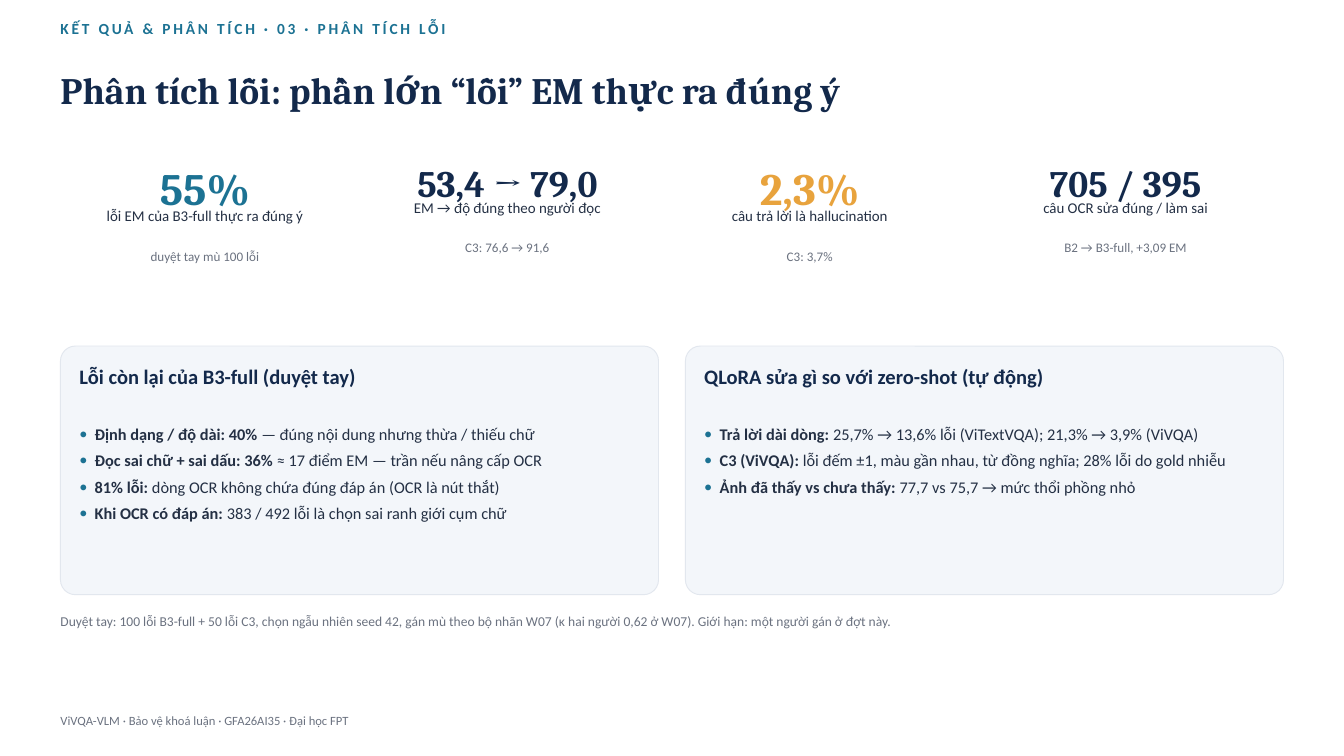
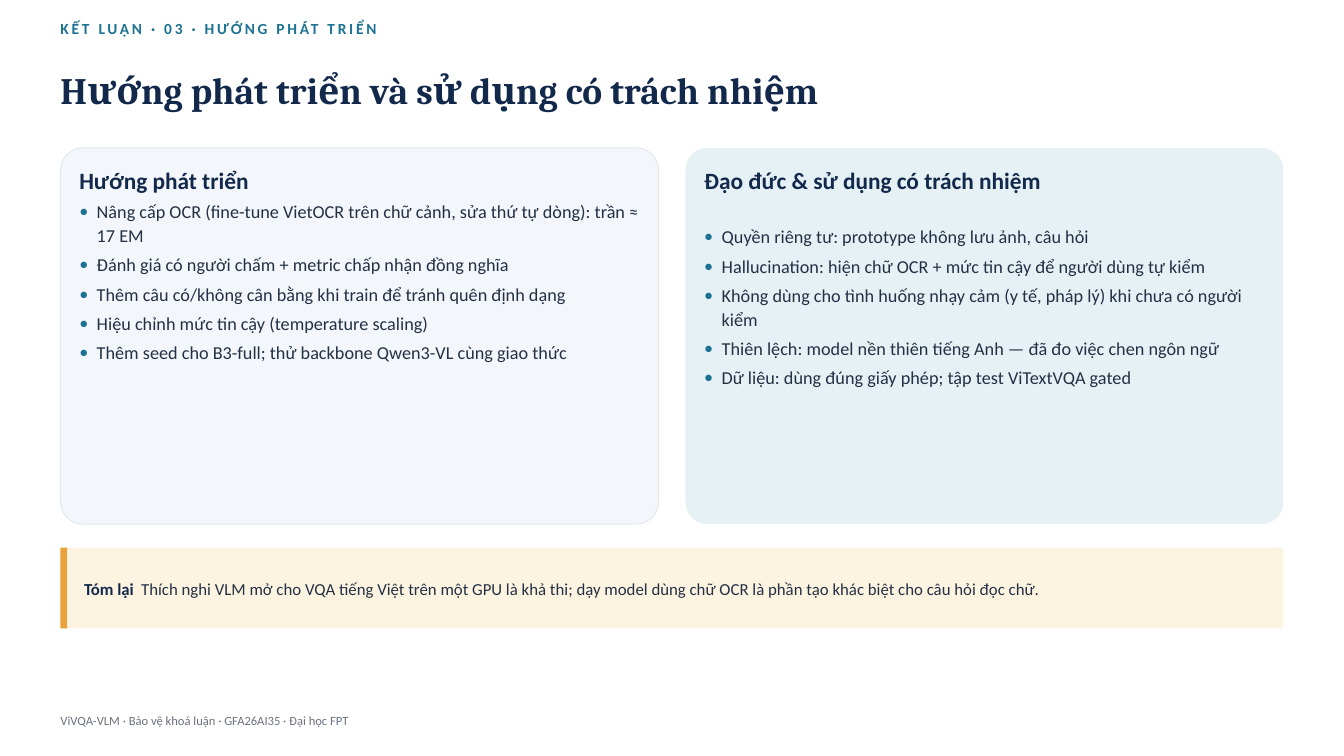
"""Build two thesis-defence slides: error analysis and future directions."""
from dataclasses import dataclass
from typing import Optional

import pptx
import pptx.dml.color
import pptx.enum.shapes
import pptx.enum.text
import pptx.oxml
import pptx.oxml.ns
import pptx.util

Inches = pptx.util.Inches
Pt = pptx.util.Pt
SHAPES = pptx.enum.shapes.MSO_SHAPE
CENTER = pptx.enum.text.PP_ALIGN.CENTER
MIDDLE = pptx.enum.text.MSO_ANCHOR.MIDDLE

NAVY, TEAL, AMBER = "13294B", "1C7293", "E8A33D"
INK, GRAY = "243044", "6B7280"
MIST, MIST_EDGE, ICE, CREAM = "F3F6FA", "E2E7EE", "E6F1F5", "FDF3E1"
SANS, SERIF = "Calibri", "Cambria"

LEFT, CONTENT_WIDTH = 0.9, 18.2
PANEL_WIDTH, PANEL_STEP, PANEL_PADDING = 8.9, 9.3, 0.28
STAT_WIDTH, STAT_STEP, STAT_TOP = 4.3, 4.5, 2.3
FOOTER = "ViVQA-VLM · Bảo vệ khoá luận · GFA26AI35 · Đại học FPT"


@dataclass(frozen=True)
class Box:
    """Position and size in inches."""
    left: float
    top: float
    width: float
    height: float

    def lengths(self) -> list:
        """Return the four values as lengths."""
        return [Inches(value) for value in (self.left, self.top, self.width, self.height)]


@dataclass(frozen=True)
class Run:
    """A stretch of text in one style."""
    text: str
    size: float
    color: str = INK
    bold: bool = False
    name: str = SANS
    tracking: int = 0


@dataclass(frozen=True)
class Stat:
    """A key figure with its label and note."""
    value: str
    label: str
    note: str
    size: float = 40
    color: str = NAVY
    width: float = STAT_WIDTH


@dataclass(frozen=True)
class Item:
    """A list item with an optional bold lead."""
    lead: str
    text: str


@dataclass(frozen=True)
class Panel:
    """A rounded card with a heading and a list."""
    heading: str
    items: tuple[Item, ...]
    list_offset: float = 1.12
    fill: str = MIST
    edge: Optional[str] = MIST_EDGE


@dataclass(frozen=True)
class PanelRow:
    """Shared placement and text sizes of a pair of panels."""
    top: float
    height: float
    heading_size: float
    item_size: float
    hanging: float


STATS = (
    Stat("55%", "lỗi EM của B3-full thực ra đúng ý", "duyệt tay mù 100 lỗi", 48, TEAL),
    Stat("53,4 → 79,0", "EM → độ đúng theo người đọc", "C3: 76,6 → 91,6"),
    Stat("2,3%", "câu trả lời là hallucination", "C3: 3,7%", 48, AMBER),
    Stat("705 / 395", "câu OCR sửa đúng / làm sai", "B2 → B3-full, +3,09 EM", width=4.7),
)
ERROR_PANELS = (
    Panel("Lỗi còn lại của B3-full (duyệt tay)", (
        Item("Định dạng / độ dài: 40%", " — đúng nội dung nhưng thừa / thiếu chữ"),
        Item("Đọc sai chữ + sai dấu: 36%", " ≈ 17 điểm EM — trần nếu nâng cấp OCR"),
        Item("81% lỗi: ", "dòng OCR không chứa đúng đáp án (OCR là nút thắt)"),
        Item("Khi OCR có đáp án: ", "383 / 492 lỗi là chọn sai ranh giới cụm chữ"),
    )),
    Panel("QLoRA sửa gì so với zero-shot (tự động)", (
        Item("Trả lời dài dòng: ", "25,7% → 13,6% lỗi (ViTextVQA); 21,3% → 3,9% (ViVQA)"),
        Item("C3 (ViVQA): ", "lỗi đếm ±1, màu gần nhau, từ đồng nghĩa; 28% lỗi do gold nhiễu"),
        Item("Ảnh đã thấy vs chưa thấy: ", "77,7 vs 75,7 → mức thổi phồng nhỏ"),
    )),
)
FUTURE_PANELS = (
    Panel("Hướng phát triển", (
        Item("", "Nâng cấp OCR (fine-tune VietOCR trên chữ cảnh, sửa thứ tự dòng): trần ≈ 17 EM"),
        Item("", "Đánh giá có người chấm + metric chấp nhận đồng nghĩa"),
        Item("", "Thêm câu có/không cân bằng khi train để tránh quên định dạng"),
        Item("", "Hiệu chỉnh mức tin cậy (temperature scaling)"),
        Item("", "Thêm seed cho B3-full; thử backbone Qwen3-VL cùng giao thức"),
    ), list_offset=0.74),
    Panel("Đạo đức & sử dụng có trách nhiệm", (
        Item("", "Quyền riêng tư: prototype không lưu ảnh, câu hỏi"),
        Item("", "Hallucination: hiện chữ OCR + mức tin cậy để người dùng tự kiểm"),
        Item("", "Không dùng cho tình huống nhạy cảm (y tế, pháp lý) khi chưa có người kiểm"),
        Item("", "Thiên lệch: model nền thiên tiếng Anh — đã đo việc chen ngôn ngữ"),
        Item("", "Dữ liệu: dùng đúng giấy phép; tập test ViTextVQA gated"),
    ), fill=ICE, edge=None),
)


def rgb(color: str) -> pptx.dml.color.RGBColor:
    """Turn a hex string into a colour."""
    return pptx.dml.color.RGBColor.from_string(color)


def apply(target, values: dict) -> None:
    """Set every attribute named in the dict."""
    for name, value in values.items():
        setattr(target, name, value)


def add_property(paragraph, xml: str) -> None:
    """Append one element to the paragraph properties."""
    tag, rest = xml.split(" ", 1)
    namespace = pptx.oxml.ns.nsdecls("a")
    properties = paragraph._p.get_or_add_pPr()
    properties.append(pptx.oxml.parse_xml(f"<a:{tag} {namespace} {rest}"))


def add_bullet(paragraph, hanging: float) -> None:
    """Give the paragraph a teal bullet with a hanging indent."""
    properties = paragraph._p.get_or_add_pPr()
    properties.set("marL", str(Inches(hanging)))
    properties.set("indent", str(-Inches(hanging)))
    add_property(paragraph, f'buClr ><a:srgbClr val="{TEAL}"/></a:buClr>')
    add_property(paragraph, f'buFont typeface="{SANS}"/>')
    add_property(paragraph, 'buChar char="•"/>')


def add_text(slide, box: Box, paragraphs: list[list[Run]], hanging: float = 0,
             tab: float = 0, anchor=None, **formats) -> None:
    """Add a text box without margins, one list of runs per paragraph."""
    frame = slide.shapes.add_textbox(*box.lengths()).text_frame
    apply(frame, {
        "margin_left": 0, "margin_top": 0, "margin_right": 0, "margin_bottom": 0,
        "word_wrap": True, "vertical_anchor": anchor,
        "auto_size": pptx.enum.text.MSO_AUTO_SIZE.SHAPE_TO_FIT_TEXT,
    })
    for index, runs in enumerate(paragraphs):
        paragraph = frame.add_paragraph() if index else frame.paragraphs[0]
        if hanging:
            add_bullet(paragraph, hanging)
        if tab:
            add_property(paragraph, f'tabLst ><a:tab pos="{Inches(tab)}" algn="l"/></a:tabLst>')
        apply(paragraph, {"line_spacing": 1.12, "space_after": Pt(4)} | formats)
        for part in runs:
            run = paragraph.add_run()
            run.text = part.text
            apply(run.font, {"size": Pt(part.size), "name": part.name, "bold": part.bold})
            run.font.color.rgb = rgb(part.color)
            if part.tracking:
                run.font._element.set("spc", str(part.tracking * 100))


def add_block(slide, box: Box, fill: str, edge: Optional[str] = None,
              rounded: bool = True) -> None:
    """Add a filled rectangle, rounded unless told otherwise."""
    preset = SHAPES.ROUNDED_RECTANGLE if rounded else SHAPES.RECTANGLE
    shape = slide.shapes.add_shape(preset, *box.lengths())
    shape.shadow.inherit = False
    shape.fill.solid()
    shape.fill.fore_color.rgb = rgb(fill)
    if rounded:
        shape.adjustments[0] = 0.06
    if edge:
        shape.line.color.rgb = rgb(edge)
        shape.line.width = Pt(1)
    else:
        shape.line.fill.background()


def add_base_slide(presentation, section: str, title: str):
    """Add a blank slide with its section label, title and footer."""
    slide = presentation.slides.add_slide(presentation.slide_layouts[6])
    slide.background.fill.solid()
    slide.background.fill.fore_color.rgb = rgb("FFFFFF")
    add_text(slide, Box(LEFT, 0.29, CONTENT_WIDTH, 0.64),
             [[Run(section, 16.5, TEAL, True, tracking=3)]],
             line_spacing=Pt(19.8), space_after=Pt(0))
    add_text(slide, Box(LEFT, 0.87, CONTENT_WIDTH, 1.11),
             [[Run(title, 40, NAVY, True, SERIF)]],
             line_spacing=Pt(57.6), space_after=Pt(0))
    add_text(slide, Box(LEFT, 10.58, 15, 0.4), [[Run(FOOTER, 13.5, GRAY)]])
    return slide


def add_stat(slide, left: float, stat: Stat) -> None:
    """Stack a figure, its label and its note, spaced by the figure's size."""
    label_top = STAT_TOP + stat.size * 0.016
    add_text(slide, Box(left, STAT_TOP, stat.width, 0.9),
             [[Run(stat.value, stat.size, stat.color, True, SERIF)]], alignment=CENTER)
    add_text(slide, Box(left, label_top, stat.width, 0.8),
             [[Run(stat.label, 16)]], alignment=CENTER, line_spacing=1.05)
    add_text(slide, Box(left, label_top + 0.6, stat.width, 0.6),
             [[Run(stat.note, 14, GRAY)]], alignment=CENTER)


def add_panels(slide, row: PanelRow, panels: tuple[Panel, ...]) -> None:
    """Place panels side by side."""
    for index, panel in enumerate(panels):
        left = LEFT + index * PANEL_STEP
        text_left, text_width = left + PANEL_PADDING, PANEL_WIDTH - 2 * PANEL_PADDING
        add_block(slide, Box(left, row.top, PANEL_WIDTH, row.height), panel.fill, panel.edge)
        add_text(slide, Box(text_left, row.top + 0.22, text_width, 0.6),
                 [[Run(panel.heading, row.heading_size, NAVY, True)]])
        paragraphs = [
            [Run(text, row.item_size, bold=bold)
             for text, bold in ((item.lead, True), (item.text, False)) if text]
            for item in panel.items
        ]
        list_height = row.height - panel.list_offset - 0.1
        add_text(slide, Box(text_left, row.top + panel.list_offset, text_width, list_height),
                 paragraphs, hanging=row.hanging, space_after=Pt(5))


def add_summary(slide, box: Box, lead: str, text: str) -> None:
    """Add a cream callout with an amber edge."""
    add_block(slide, box, CREAM)
    add_block(slide, Box(box.left, box.top, 0.1, box.height), AMBER, rounded=False)
    add_text(slide, Box(box.left + 0.35, box.top, box.width - 0.55, box.height),
             [[Run(lead + "\t", 18, NAVY, True), Run(text, 18)]], tab=0.85, anchor=MIDDLE)


def build_error_slide(presentation) -> None:
    """Build the error analysis slide."""
    slide = add_base_slide(presentation, "KẾT QUẢ & PHÂN TÍCH · 03 · PHÂN TÍCH LỖI",
                           "Phân tích lỗi: phần lớn “lỗi” EM thực ra đúng ý")
    for index, stat in enumerate(STATS):
        add_stat(slide, LEFT + index * STAT_STEP, stat)
    add_panels(slide, PanelRow(5.15, 3.7, 22, 17.5, 0.23), ERROR_PANELS)
    method_note = ("Duyệt tay: 100 lỗi B3-full + 50 lỗi C3, chọn ngẫu nhiên seed 42, "
                   "gán mù theo bộ nhãn W07 (κ hai người 0,62 ở W07). "
                   "Giới hạn: một người gán ở đợt này.")
    add_text(slide, Box(LEFT, 9.1, CONTENT_WIDTH, 0.8), [[Run(method_note, 14.5, GRAY)]])


def build_future_slide(presentation) -> None:
    """Build the future directions slide."""
    slide = add_base_slide(presentation, "KẾT LUẬN · 03 · HƯỚNG PHÁT TRIỂN",
                           "Hướng phát triển và sử dụng có trách nhiệm")
    add_panels(slide, PanelRow(2.2, 5.6, 25, 19.5, 0.26), FUTURE_PANELS)
    add_summary(slide, Box(LEFT, 8.15, CONTENT_WIDTH, 1.2), "Tóm lại",
                "Thích nghi VLM mở cho VQA tiếng Việt trên một GPU là khả thi; "
                "dạy model dùng chữ OCR là phần tạo khác biệt cho câu hỏi đọc chữ.")


def main() -> None:
    """Build and save the presentation."""
    presentation = pptx.Presentation()
    apply(presentation, {"slide_width": Inches(20), "slide_height": Inches(11.25)})
    build_error_slide(presentation)
    build_future_slide(presentation)
    presentation.save("out.pptx")


if __name__ == "__main__":
    main()
